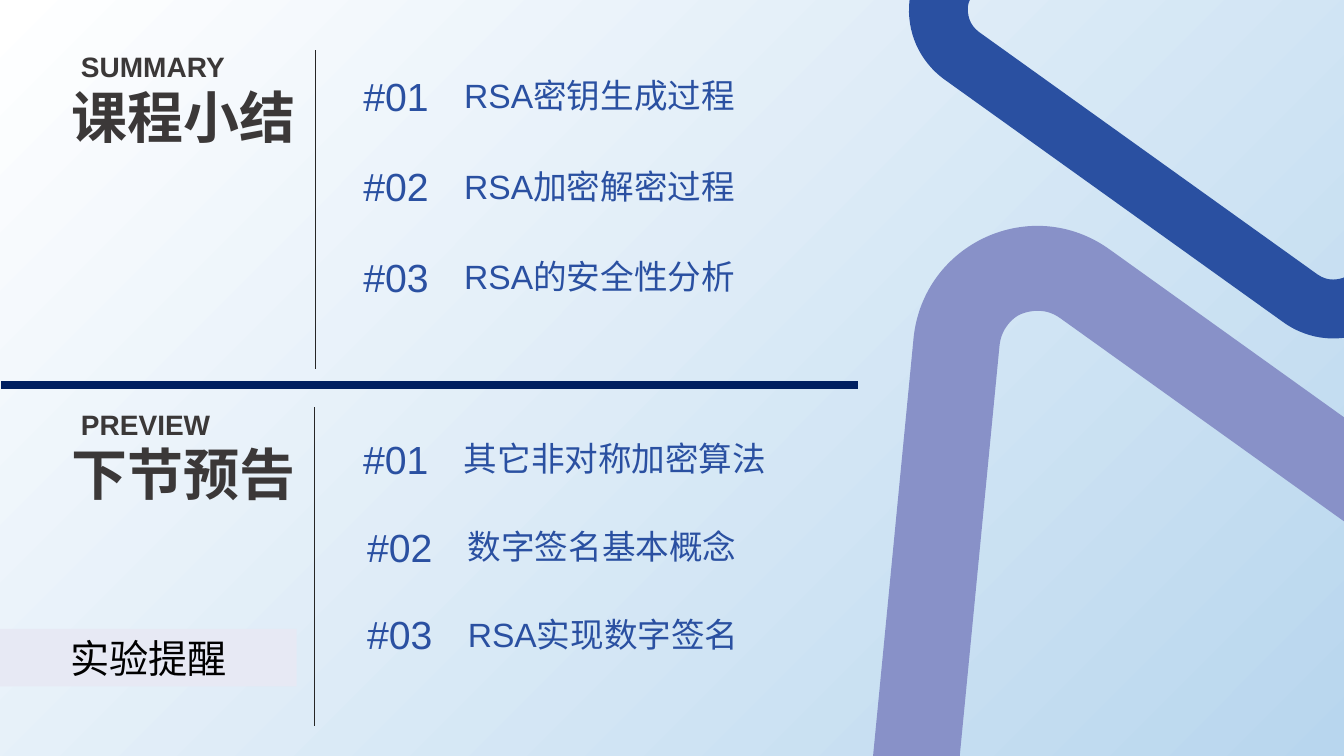
from dataclasses import dataclass
from itertools import islice

from lxml import etree
from pptx import Presentation
from pptx import util as u
from pptx.dml.color import RGBColor
from pptx.enum import shapes, text
from pptx.oxml import ns


@dataclass(frozen=True)
class Theme:
    sky_start: str = "FFFFFF"
    sky_end: str = "B8D6EE"
    blue: str = "2A50A1"
    lilac: str = "8891C8"
    pale: str = "E7E9F4"
    navy: str = "001F60"
    rule: str = "262626"
    heading: str = "3B3838"
    black: str = "000000"
    sans: str = "Arial"
    serif: str = "Times New Roman"
    heading_size: int = 40
    number_size: int = 28
    item_size: int = 24
    label_size: int = 20


THEME = Theme()
PAGE_WIDTH, PAGE_HEIGHT = 33.87, 19.05

# Right half of each symmetric outline, from top centre to bottom, in cm
# around the triangle's centre. One point is a line, three a Bezier curve.
OUTER_HALF = [[(0, -6.7)], [(0.74, -6.7), (1.45, -6.35), (1.88, -5.62)],
              [(7.13, 3.45)], [(7.95, 4.9), (6.92, 6.7), (5.24, 6.7)]]
INNER_HALF = [[(0, -5.22)], [(0.14, -5.22), (0.42, -5.17), (0.57, -4.87)],
              [(5.82, 4.2)], [(5.99, 4.49), (5.91, 4.77), (5.84, 4.88)],
              [(5.76, 5), (5.58, 5.22), (5.24, 5.22)]]


def color(code):
    return RGBColor.from_string(code)


def write(frame, words, size, ink, font=THEME.sans, bold=False, align=None):
    para = frame.paragraphs[0]
    para.alignment = align
    span = para.add_run()
    span.text = words
    span.font.size = u.Pt(size)
    span.font.name = font
    span.font.bold = bold
    span.font.color.rgb = color(ink)


def add_label(page, box, words, **style):
    frame = page.shapes.add_textbox(*map(u.Cm, box)).text_frame
    frame.word_wrap = False
    frame.margin_left = frame.margin_right = 0
    frame.margin_top = frame.margin_bottom = 0
    write(frame, words, **style)


def add_rule(page, start, end, ink, weight):
    line = page.shapes.add_connector(
        shapes.MSO_CONNECTOR.STRAIGHT, *map(u.Cm, start + end))
    line.line.color.rgb = color(ink)
    line.line.width = u.Pt(weight)
    etree.SubElement(line._element.spPr, ns.qn("a:effectLst"))


def paint_background(page):
    fill = page.background.fill
    fill.gradient()
    fill.gradient_angle = 315
    for stop, code in zip(fill.gradient_stops,
                          (THEME.sky_start, THEME.sky_end)):
        stop.color.rgb = color(code)


def mirror(half, scale):
    """Return the whole outline's points in EMU and its segment lengths."""
    points = [point for segment in half for point in segment]
    points += [(-x, y) for x, y in reversed(points)]
    lengths = [len(segment) for segment in half[1:]]
    return ([(u.Cm(x * scale), u.Cm(y * scale)) for x, y in points],
            lengths + [1] + lengths[::-1])


def bend(band, lengths):
    """Turn each run of three straight segments into one Bezier curve."""
    lines = iter(list(band._element.iter(ns.qn("a:lnTo"))))
    for length in lengths:
        group = list(islice(lines, length))
        if length == 3:
            curve = etree.Element(ns.qn("a:cubicBezTo"))
            group[0].addprevious(curve)
            for line in group:
                curve.append(line[0])
                line.getparent().remove(line)


def add_triangle_band(page, center, scale, turn, ink):
    outer, outer_lengths = mirror(OUTER_HALF, scale)
    inner, inner_lengths = mirror(INNER_HALF, scale)
    builder = page.shapes.build_freeform(*outer[0])
    builder.add_line_segments(outer[1:], close=True)
    builder.move_to(*inner[0])
    builder.add_line_segments(inner[1:], close=True)
    band = builder.convert_to_shape(*map(u.Cm, center))
    bend(band, outer_lengths + inner_lengths)
    band.rotation = turn
    band.shadow.inherit = False
    band.fill.solid()
    band.fill.fore_color.rgb = color(ink)
    band.line.fill.background()


def add_section(page, box, label, heading, items, first, pitch, indent=0):
    """Heading on the left, rule, then numbered items; indent moves later items."""
    left, top, rule_offset, height = box
    add_label(page, (left, top + 0.82, 5.65, 2.13), heading, bold=True,
              size=THEME.heading_size, ink=THEME.heading)
    add_label(page, (left + 0.23, top, 4.39, 0.86), label, bold=True,
              size=THEME.label_size, ink=THEME.heading)
    rule_x = left + rule_offset
    add_rule(page, (rule_x, top), (rule_x, top + height), THEME.rule, 0.5)
    for index, item in enumerate(items):
        row_x = rule_x + 1.22 + (indent if index else 0)
        row_y = top + first + index * pitch
        add_label(page, (row_x + 2.54, row_y + 0.07, 8.56, 1.27), item,
                  size=THEME.item_size, ink=THEME.blue)
        add_label(page, (row_x, row_y, 2.08, 1.5), f"#{index + 1:02}",
                  size=THEME.number_size, ink=THEME.blue)


def add_reminder(page, box, words):
    panel = page.shapes.add_shape(
        shapes.MSO_SHAPE.RECTANGLE, *map(u.Cm, box))
    panel.shadow.inherit = False
    panel.line.fill.background()
    panel.fill.solid()
    panel.fill.fore_color.rgb = color(THEME.pale)
    panel.text_frame.word_wrap = True
    panel.text_frame.vertical_anchor = text.MSO_ANCHOR.MIDDLE
    write(panel.text_frame, words, THEME.number_size, THEME.black,
          font=THEME.serif, align=text.PP_ALIGN.CENTER)


def build_summary_page(deck):
    page = deck.slides.add_slide(deck.slide_layouts[6])
    paint_background(page)
    add_triangle_band(page, (31.98, -0.38), 1, 35.6, THEME.blue)
    add_triangle_band(page, (28.48, 18.52), 1.44, 215.6, THEME.lilac)
    add_section(page, (1.81, 1.26, 6.13, 8.03), "SUMMARY", "课程小结",
                ["RSA密钥生成过程", "RSA加密解密过程", "RSA的安全性分析"],
                first=0.56, pitch=2.28)
    add_section(page, (1.81, 10.26, 6.12, 8.03), "PREVIEW", "下节预告",
                ["其它非对称加密算法", "数字签名基本概念", "RSA实现数字签名"],
                first=0.71, pitch=2.21, indent=0.1)
    add_rule(page, (0.03, 9.7), (21.62, 9.7), THEME.navy, 6)
    add_reminder(page, (0, 15.85, 7.48, 1.45), "实验提醒")


def main():
    deck = Presentation()
    deck.slide_width, deck.slide_height = u.Cm(PAGE_WIDTH), u.Cm(PAGE_HEIGHT)
    build_summary_page(deck)
    deck.save("out.pptx")


if __name__ == "__main__":
    main()
